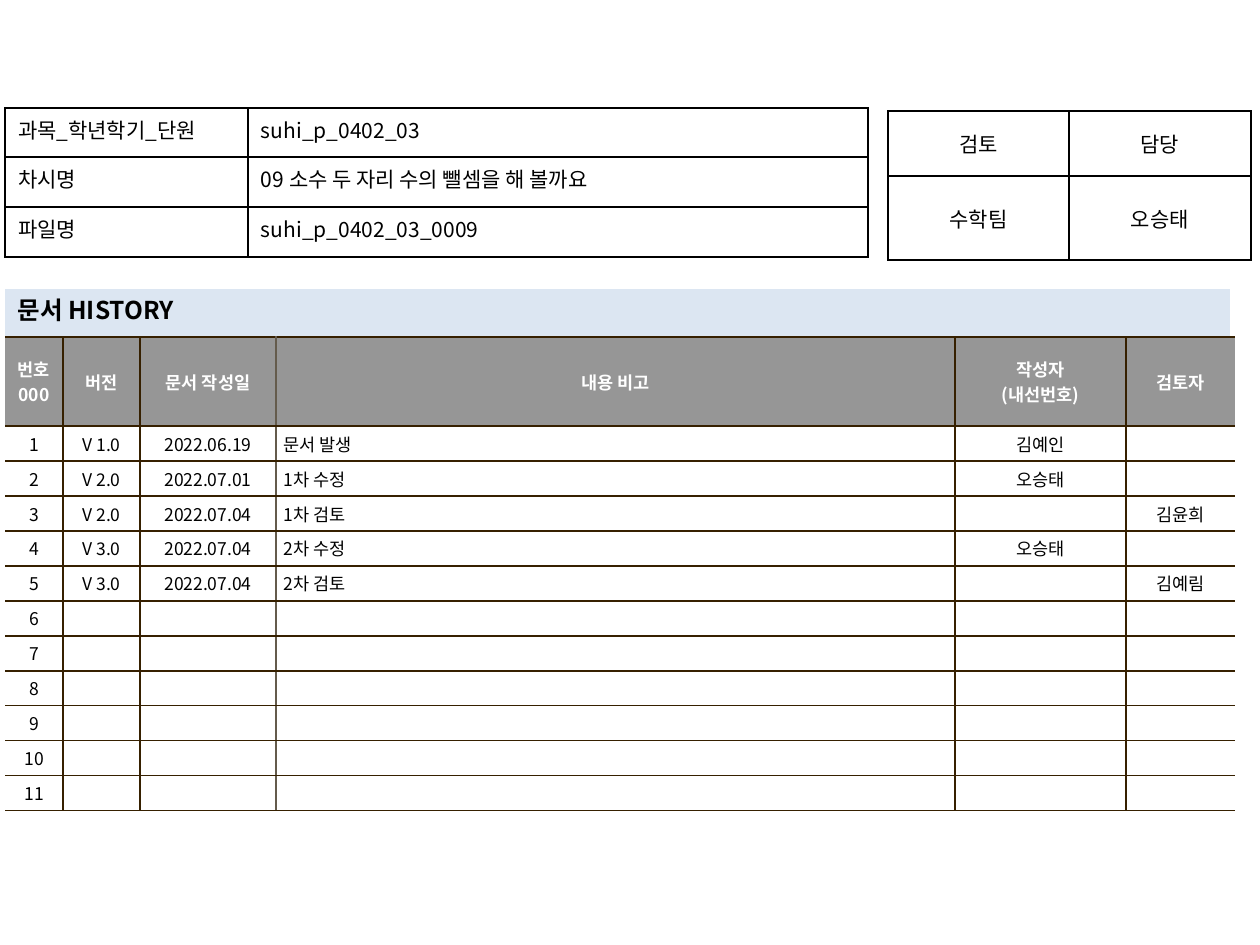
import dataclasses

import lxml.etree
import pptx
import pptx.dml.color
import pptx.enum.text
import pptx.oxml.ns
import pptx.util

PX = 914400 / 126
ALIGN = pptx.enum.text.PP_ALIGN
ANCHOR = pptx.enum.text.MSO_ANCHOR
qn = pptx.oxml.ns.qn


def px(length):
    return pptx.util.Emu(round(length * PX))


@dataclasses.dataclass(frozen=True)
class Theme:
    font: str = "Noto Sans CJK KR"
    ink: str = "000000"
    white: str = "FFFFFF"
    header: str = "969696"
    band: str = "DCE6F2"
    rule: str = "362000"
    soft_rule: str = "645B4C"
    heading_size: int = 14
    info_size: int = 12
    history_size: int = 10


@dataclasses.dataclass
class Cell:
    text: str
    size: int
    color: str
    margins: tuple
    borders: dict
    bold: bool = False
    fill: str = ""
    align: ALIGN = ALIGN.CENTER
    anchor: ANCHOR = ANCHOR.MIDDLE
    hanging: int = 0


class Page:
    def __init__(self, theme, slide):
        self.theme = theme
        self.slide = slide

    def set_line(self, paragraph, text, size, color, bold, align):
        paragraph.alignment = align
        if not text:
            lxml.etree.SubElement(
                paragraph._p, qn("a:endParaRPr"), sz=str(size * 100))
            return
        run = paragraph.add_run()
        run.text = text
        values = {"name": self.theme.font, "bold": bold,
                  "size": pptx.util.Pt(size)}
        for name, value in values.items():
            setattr(run.font, name, value)
        run.font.color.rgb = pptx.dml.color.RGBColor.from_string(color)
        lxml.etree.SubElement(
            run.font._element, qn("a:ea"), typeface=self.theme.font)

    def paint(self, fill, color):
        if color:
            fill.solid()
            fill.fore_color.rgb = pptx.dml.color.RGBColor.from_string(color)
        else:
            fill.background()

    def border(self, properties, side, color):
        line = lxml.etree.SubElement(properties, qn("a:ln" + side), w="12700")
        if color:
            solid = lxml.etree.SubElement(line, qn("a:solidFill"))
            lxml.etree.SubElement(solid, qn("a:srgbClr"), val=color)
        else:
            lxml.etree.SubElement(line, qn("a:noFill"))

    def heading(self, text, left, top, width, height):
        title = self.slide.shapes.title
        place = {"left": left, "top": top, "width": width, "height": height}
        for name, value in place.items():
            setattr(title, name, px(value))
        self.paint(title.fill, self.theme.band)
        frame = title.text_frame
        layout = {"word_wrap": True, "vertical_anchor": ANCHOR.TOP,
                  "auto_size": pptx.enum.text.MSO_AUTO_SIZE.SHAPE_TO_FIT_TEXT}
        for name, value in layout.items():
            setattr(frame, name, value)
        self.set_line(frame.paragraphs[0], text, self.theme.heading_size,
                      self.theme.ink, True, ALIGN.LEFT)

    def fill_cell(self, target, cell):
        properties = target._tc.get_or_add_tcPr()
        for side in "LRTB":
            self.border(properties, side, cell.borders[side])
        self.paint(target.fill, cell.fill)
        target.vertical_anchor = cell.anchor
        across, down = cell.margins
        margins = {"margin_left": across, "margin_right": across,
                   "margin_top": down, "margin_bottom": down}
        for name, value in margins.items():
            setattr(target, name, px(value))
        frame = target.text_frame
        for index, line in enumerate(cell.text.split("\n")):
            paragraph = frame.add_paragraph() if index else frame.paragraphs[0]
            if cell.hanging:
                indent = paragraph._p.get_or_add_pPr()
                indent.set("marL", str(px(cell.hanging)))
                indent.set("indent", str(px(-cell.hanging)))
            self.set_line(paragraph, line, cell.size, cell.color,
                          cell.bold, cell.align)

    def table(self, left, top, columns, heights, rows, make_cell):
        table = self.slide.shapes.add_table(
            len(heights), len(columns), px(left), px(top),
            px(sum(columns)), px(sum(heights))).table
        table.first_row = False
        table.horz_banding = False
        for column, width in zip(table.columns, columns):
            column.width = px(width)
        for row, height in zip(table.rows, heights):
            row.height = px(height)
        for r, texts in enumerate(rows):
            for c, text in enumerate(texts):
                self.fill_cell(table.cell(r, c), make_cell(r, c, text))

    def info_cell(self, text, **options):
        return Cell(text, self.theme.info_size, self.theme.ink, (13, 6),
                    dict.fromkeys("LRTB", self.theme.ink), **options)

    def approval_cell(self, row, column, text):
        return self.info_cell(text)

    def lesson_cell(self, row, column, text):
        align = ALIGN.LEFT if column else ALIGN.JUSTIFY
        return self.info_cell(text, align=align, anchor=ANCHOR.TOP)

    def history_cell(self, row, column, text):
        theme = self.theme
        verticals = ["", theme.rule, theme.rule, theme.soft_rule,
                     theme.rule, theme.rule, ""]
        borders = {"L": verticals[column], "R": verticals[column + 1],
                   "T": theme.rule, "B": theme.rule}
        cell = Cell(text, theme.history_size, theme.ink, (8, 5), borders,
                    fill=theme.white)
        if row == 0:
            changes = {"bold": True, "color": theme.white,
                       "fill": theme.header}
        elif column == 3:
            changes = {"align": ALIGN.LEFT, "hanging": 24}
        elif column == 5:
            changes = {"hanging": 11}
        else:
            changes = {}
        return dataclasses.replace(cell, **changes)


def main():
    deck = pptx.Presentation()
    deck.slide_width, deck.slide_height = px(1260), px(945)
    page = Page(Theme(), deck.slides.add_slide(deck.slide_layouts[5]))

    history = [
        ["번호000", "버전", "문서 작성일", "내용 비고",
         "작성자\n(내선번호)", "검토자"],
        ["1", "V 1.0", "2022.06.19", "문서 발생", "김예인", ""],
        ["2", "V 2.0", "2022.07.01", "1차 수정", "오승태", ""],
        ["3", "V 2.0", "2022.07.04", "1차 검토", "", "김윤희"],
        ["4", "V 3.0", "2022.07.04", "2차 수정", "오승태", ""],
        ["5", "V 3.0", "2022.07.04", "2차 검토", "", "김예림"],
    ]
    history += [[str(number)] + [""] * 5 for number in range(6, 12)]
    page.table(5, 337, [58, 77, 136, 679, 171, 109], [89] + [35] * 11,
               history, page.history_cell)

    approval = [["검토", "담당"], ["수학팀", "오승태"]]
    page.table(888, 111, [181, 182], [65, 84], approval, page.approval_cell)

    page.heading("문서 HISTORY", 5, 289, 1225, 42)

    lesson = [
        ["과목_학년학기_단원", "suhi_p_0402_03"],
        ["차시명", "09 소수 두 자리 수의 뺄셈을 해 볼까요"],
        ["파일명", "suhi_p_0402_03_0009"],
    ]
    page.table(5, 108, [243, 620], [49, 50, 50], lesson, page.lesson_cell)

    deck.save("out.pptx")


if __name__ == "__main__":
    main()
